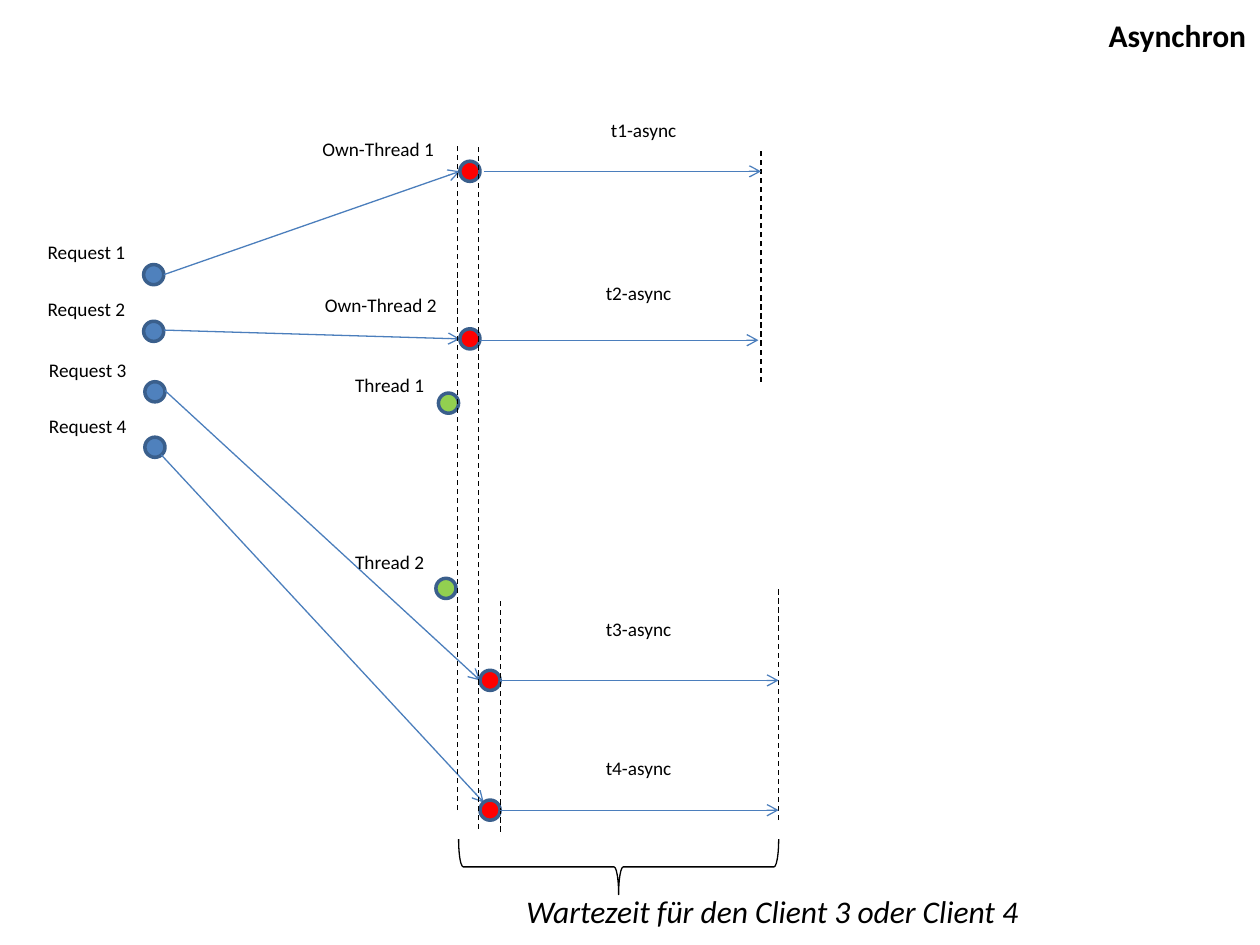
"""Build a slide showing asynchronous request handling by threads."""
from typing import NamedTuple

from lxml.etree import SubElement
from pptx import Presentation
from pptx.dml.color import RGBColor
from pptx.enum.dml import MSO_LINE
from pptx.enum.shapes import MSO_CONNECTOR, MSO_SHAPE
from pptx.enum.text import MSO_AUTO_SIZE
from pptx.oxml.ns import qn
from pptx.util import Inches, Pt

COLORS = {
    "text": "000000",
    "request": "4F81BD",
    "thread": "92D050",
    "own_thread": "FF0000",
    "outline": "3A5F8C",
    "arrow": "4B7EBC",
}
DOT_SIZE = 0.16
LABEL_HEIGHT = 0.29


class Label(NamedTuple):
    text: str
    left: float
    top: float
    width: float
    height: float = LABEL_HEIGHT
    size: int = 11
    bold: bool = False
    italic: bool = False


class Dot(NamedTuple):
    left: float
    top: float
    role: str


class Line(NamedTuple):
    x1: float
    y1: float
    x2: float
    y2: float


def color(name: str) -> RGBColor:
    """Return the named palette colour."""
    return RGBColor.from_string(COLORS[name])


def draw_label(slide, label: Label) -> None:
    """Add one unwrapped line of text."""
    box = slide.shapes.add_textbox(
        Inches(label.left), Inches(label.top), Inches(label.width), Inches(label.height)
    )
    frame = box.text_frame
    frame.word_wrap = False
    frame.auto_size = MSO_AUTO_SIZE.SHAPE_TO_FIT_TEXT
    paragraph = frame.paragraphs[0]
    paragraph.text = label.text
    font = paragraph.font
    font.name = "Calibri"
    font.size = Pt(label.size)
    font.bold = label.bold
    font.italic = label.italic
    font.color.rgb = color("text")


def draw_dot(slide, dot: Dot) -> None:
    """Add a round marker coloured by its role."""
    marker = slide.shapes.add_shape(
        MSO_SHAPE.OVAL, Inches(dot.left), Inches(dot.top), Inches(DOT_SIZE), Inches(DOT_SIZE)
    )
    marker.shadow.inherit = False
    marker.fill.solid()
    marker.fill.fore_color.rgb = color(dot.role)
    marker.line.color.rgb = color("outline")
    marker.line.width = Pt(2)


def draw_line(slide, line: Line, arrow: bool) -> None:
    """Add a blue arrow or a black dashed time mark."""
    connector = slide.shapes.add_connector(
        MSO_CONNECTOR.STRAIGHT, *(Inches(value) for value in line)
    )
    connector.line.width = Pt(0.75)
    connector.line.color.rgb = color("arrow" if arrow else "text")
    if arrow:
        SubElement(connector.line._get_or_add_ln(), qn("a:tailEnd"), type="arrow")
    else:
        connector.line.dash_style = MSO_LINE.DASH
    SubElement(connector._element.spPr, qn("a:effectLst"))


def draw_waiting_brace(slide) -> None:
    """Add the brace under the waiting time."""
    brace = slide.shapes.add_shape(
        MSO_SHAPE.LEFT_BRACE, Inches(4.69), Inches(5.61), Inches(0.44), Inches(2.54)
    )
    brace.rotation = 270
    brace.shadow.inherit = False
    brace.fill.background()
    brace.line.color.rgb = color("text")
    brace.line.width = Pt(0.75)


LABELS = [
    Label("Asynchron", 8.7, 0.08, 1.3, 0.4, 18, bold=True),
    *(
        Label(f"Request {number}", left, top, 0.83)
        for number, (left, top) in enumerate(
            [(0.28, 1.86), (0.28, 2.31), (0.29, 2.79), (0.29, 3.24)], 1
        )
    ),
    *(Label(f"Thread {number}", 2.72, top, 0.76) for number, top in enumerate([2.91, 4.32], 1)),
    Label("Own-Thread 1", 2.46, 1.04, 1.1),
    Label("Own-Thread 2", 2.48, 2.28, 1.1),
    *(
        Label(f"t{number}-async", left, top, 0.73)
        for number, (left, top) in enumerate(
            [(4.75, 0.89), (4.71, 2.18), (4.71, 4.85), (4.71, 5.95)], 1
        )
    ),
    Label("Wartezeit für den Client 3 oder Client 4", 4.08, 7.03, 4.15, 0.4, 18, italic=True),
]
WAITING_DOTS = [
    Dot(1.14, 2.1, "request"),
    Dot(1.14, 2.55, "request"),
    Dot(1.15, 3.03, "request"),
    Dot(1.15, 3.47, "request"),
    Dot(3.48, 3.12, "thread"),
    Dot(3.46, 4.59, "thread"),
]
OWN_THREAD_DOTS = [
    Dot(left, top, "own_thread")
    for left, top in [(3.65, 1.28), (3.65, 2.61), (3.81, 5.32), (3.81, 6.35)]
]
REQUEST_ARROWS = [
    Line(1.3, 2.18, 3.65, 1.36),
    Line(1.3, 2.62, 3.65, 2.69),
    Line(1.31, 3.1, 3.81, 5.4),
    Line(1.28, 3.61, 3.84, 6.37),
]
DURATION_ARROWS = [
    Line(start, y, end, y)
    for start, end, y in [
        (3.84, 6.04, 1.36), (3.81, 6.02, 2.7), (3.97, 6.18, 5.4), (3.97, 6.18, 6.43)
    ]
]
TIME_MARKS = [
    Line(x, bottom, x, top)
    for x, bottom, top in [
        (3.63, 6.43, 1.15), (3.8, 6.58, 1.15), (3.97, 6.6, 4.74),
        (6.04, 3.03, 1.17), (6.18, 6.51, 4.65),
    ]
]


def main() -> None:
    """Draw the slide and save it."""
    presentation = Presentation()
    presentation.slide_width = Inches(10)
    presentation.slide_height = Inches(7.5)
    slide = presentation.slides.add_slide(presentation.slide_layouts[6])
    for dot in WAITING_DOTS:
        draw_dot(slide, dot)
    for request in REQUEST_ARROWS:
        draw_line(slide, request, arrow=True)
    for dot in OWN_THREAD_DOTS:
        draw_dot(slide, dot)
    for mark in TIME_MARKS:
        draw_line(slide, mark, arrow=False)
    for duration in DURATION_ARROWS:
        draw_line(slide, duration, arrow=True)
    draw_waiting_brace(slide)
    for label in LABELS:
        draw_label(slide, label)
    presentation.save("out.pptx")


if __name__ == "__main__":
    main()
